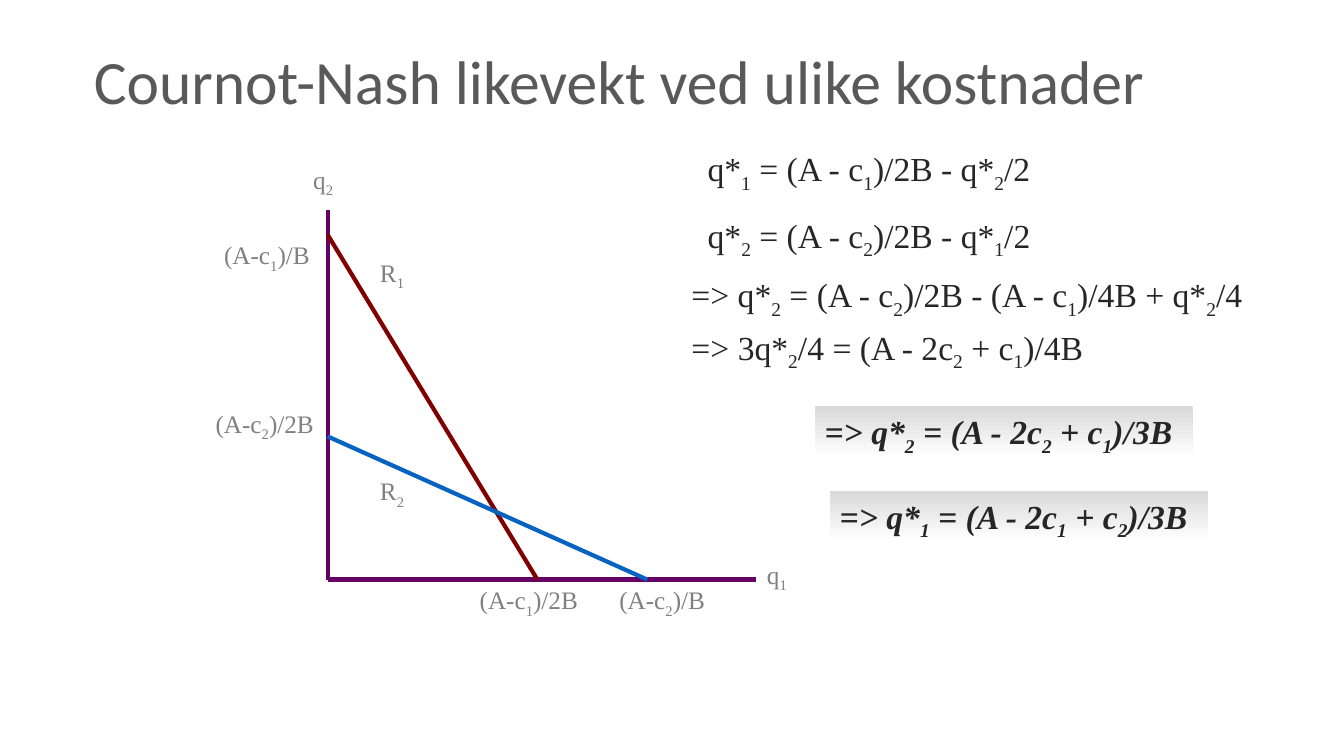
"""Build the slide on Cournot-Nash equilibrium with unequal costs."""
from lxml import etree
from pptx import Presentation
from pptx.dml.color import RGBColor
from pptx.enum import shapes, text
from pptx.oxml.ns import qn
from pptx.util import Inches, Pt

WHITE = RGBColor(0xFF, 0xFF, 0xFF)
SILVER = RGBColor(0xD9, 0xD9, 0xD9)
GRAY = RGBColor(0x80, 0x80, 0x80)
SLATE = RGBColor(0x59, 0x59, 0x59)
INK = RGBColor(0x26, 0x26, 0x26)
PURPLE = RGBColor(0x66, 0x00, 0x66)
MAROON = RGBColor(0x80, 0x00, 0x00)
BLUE = RGBColor(0x05, 0x63, 0xC1)
LEFT, MID, RIGHT = text.PP_ALIGN.LEFT, text.PP_ALIGN.CENTER, text.PP_ALIGN.RIGHT


def write(shape, words, size, color, align=LEFT, strong=False):
    """Fill a shape with one line; the digit after each underscore is lowered."""
    frame = shape.text_frame
    frame.word_wrap = True
    frame.vertical_anchor = text.MSO_ANCHOR.TOP
    para = frame.paragraphs[0]
    para.alignment = align
    font = para.font
    font.name, font.size, font.color.rgb = "Times New Roman", Pt(size), color
    if strong:
        font.bold = font.italic = True
    head, *parts = words.split("_")
    para.add_run().text = head
    for part in parts:
        sub = para.add_run()
        sub.text = part[0]
        sub.font._element.set("baseline", "-25000")
        if part[1:]:
            para.add_run().text = part[1:]


deck = Presentation()
deck.slide_width, deck.slide_height = Inches(13.33), Inches(7.5)
slide = deck.slides.add_slide(deck.slide_layouts[5])

title = slide.shapes.title
title.left, title.top = Inches(0.83), Inches(0.11)
title.width, title.height = Inches(11.5), Inches(1.45)
title.text_frame.text = "Cournot-Nash likevekt ved ulike kostnader"
title.text_frame.vertical_anchor = text.MSO_ANCHOR.MIDDLE
para = title.text_frame.paragraphs[0]
para.alignment, para.line_spacing = LEFT, 0.9
para.font.name, para.font.size, para.font.color.rgb = "Calibri", Pt(44), SLATE

X0, Y0 = 3.25, 5.75
lines = [
    (X0, 2.08, X0, Y0, PURPLE),
    (X0, Y0, 7.5, Y0, PURPLE),
    (X0, 2.33, 5.33, Y0, MAROON),
    (X0, 4.33, 6.42, Y0, BLUE),
]
for x1, y1, x2, y2, color in lines:
    line = slide.shapes.add_connector(
        shapes.MSO_CONNECTOR.STRAIGHT, Inches(x1), Inches(y1), Inches(x2), Inches(y2))
    line.line.color.rgb, line.line.width = color, Pt(3)
    etree.SubElement(line._element.spPr, qn("a:effectLst"))

labels = [
    (2.83, 1.58, 0.75, "q_2", MID),
    (7.33, 5.5, 0.75, "q_1", MID),
    (2, 2.33, 1.17, "(A-c_1)/B", RIGHT),
    (4.58, Y0, 1.33, "(A-c_1)/2B", MID),
    (3.67, 2.5, 0.5, "R_1", LEFT),
    (2, 4, 1.25, "(A-c_2)/2B", MID),
    (5.92, Y0, 1.17, "(A-c_2)/B", RIGHT),
    (3.67, 4.67, 0.75, "R_2", LEFT),
]
for x, y, width, words, align in labels:
    box = slide.shapes.add_textbox(Inches(x), Inches(y), Inches(width), Inches(0.4))
    write(box, words, 18, GRAY, align)

steps = [
    (6.92, 1.42, 3.67, "q*_1 = (A - c_1)/2B - q*_2/2"),
    (6.92, 2.08, 3.58, "q*_2 = (A - c_2)/2B - q*_1/2"),
    (6.76, 2.67, 6.03, "=> q*_2 = (A - c_2)/2B - (A - c_1)/4B + q*_2/4"),
    (6.76, 3.19, 4.75, "=> 3q*_2/4 = (A - 2c_2 + c_1)/4B"),
]
for x, y, width, words in steps:
    box = slide.shapes.add_textbox(Inches(x), Inches(y), Inches(width), Inches(0.5))
    write(box, words, 24, INK)

results = [
    (8.08, 4.03, "=> q*_2 = (A - 2c_2 + c_1)/3B"),
    (8.23, 4.87, "=> q*_1 = (A - 2c_1 + c_2)/3B"),
]
for x, y, words in results:
    box = slide.shapes.add_shape(
        shapes.MSO_SHAPE.RECTANGLE, Inches(x), Inches(y), Inches(3.75), Inches(0.5))
    box.shadow.inherit = False
    box.line.fill.background()
    box.fill.gradient()
    box.fill.gradient_angle = 270
    for stop, color in zip(box.fill.gradient_stops, (SILVER, WHITE)):
        stop.color.rgb = color
    write(box, words, 24, INK, strong=True)

deck.save("out.pptx")
